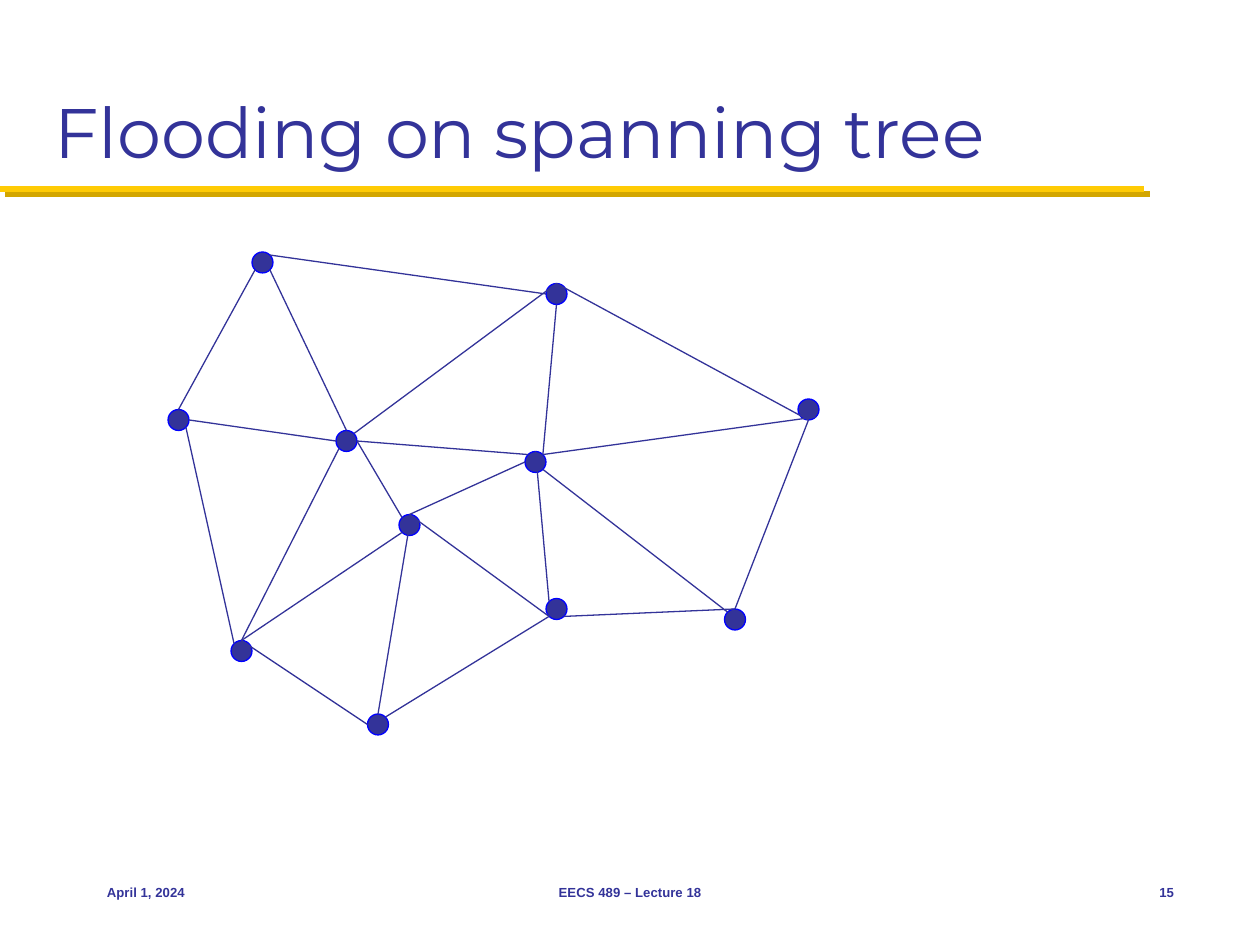
from dataclasses import dataclass
from math import cos, radians, sin

from lxml.etree import SubElement
from pptx import Presentation
from pptx.dml.color import RGBColor
from pptx.enum.shapes import MSO_CONNECTOR as Link, MSO_SHAPE as Form
from pptx.enum.text import MSO_ANCHOR as Anchor, MSO_AUTO_SIZE as Fit, PP_ALIGN as Align
from pptx.oxml.ns import qn
from pptx.util import Inches, Pt

NAVY = RGBColor(0x33, 0x33, 0x99)
BLUE = RGBColor(0x00, 0x00, 0xFF)
GOLD = RGBColor(0xFF, 0xCB, 0x05)

# The slide is a grid of 120 columns by 90 rows
COLS, ROWS = 120, 90
CELL = Inches(10) / COLS
SIZE = 2  # node diameter in cells

# Compass points on a node's rim, in degrees clockwise from east
RIM = {"E": 0, "SE": 45, "S": 90, "SW": 135, "W": 180, "NW": 225, "N": 270, "NE": 315}


@dataclass
class Node:
    col: int
    row: int

    def port(self, side: str) -> tuple[float, float]:
        """Point on the rim, or the centre for side C."""
        half = SIZE / 2
        x, y = self.col + half, self.row + half
        if side == "C":
            return x, y
        turn = radians(RIM[side])
        return x + half * cos(turn), y + half * sin(turn)


@dataclass
class Label:
    text: str
    col: int
    width: int
    align: Align


NODES = {
    "a": Node(24, 24), "b": Node(16, 39), "c": Node(52, 27), "d": Node(52, 57),
    "e": Node(35, 68), "f": Node(32, 41), "g": Node(76, 38), "h": Node(38, 49),
    "i": Node(22, 61), "j": Node(50, 43), "k": Node(69, 58),
}

# Each edge: node and side, then node and side
EDGES = [
    "a SE f N", "a SW b N", "b SE i NW", "f E h NW", "j SE k NW", "c S j NE",
    "c N g S", "g S k N", "i N e W", "h N d SW", "k N d SE", "j N d NW",
    "h C e N", "f E j NW", "b E f W", "i N h SW", "e NE d SW", "i N f SW",
    "h N j W", "j NE g SE", "a NE c W", "f NE c N",
]

LABELS = [
    Label("April 1, 2024", 9, 25, Align.LEFT),
    Label("EECS 489 – Lecture 18", 41, 38, Align.CENTER),
    Label("15", 105, 8, Align.RIGHT),
]


def cells(*counts: float) -> list[int]:
    return [round(n * CELL) for n in counts]


def style(item, form: dict) -> None:
    for name, value in form.items():
        setattr(item, name, value)


def put_text(shape, text: str, align: Align, anchor: Anchor, form: dict) -> None:
    frame = shape.text_frame
    style(frame, {"word_wrap": True, "auto_size": Fit.NONE, "vertical_anchor": anchor})
    par = frame.paragraphs[0]
    par.alignment = align
    run = par.add_run()
    run.text = text
    style(run.font, form)
    run.font.color.rgb = NAVY


def draw_line(shapes, start: tuple, end: tuple, color: RGBColor, width: float):
    """Draw a line and return its effect list, empty at first."""
    line = shapes.add_connector(Link.STRAIGHT, *cells(*start, *end))
    line.line.color.rgb = color
    line.line.width = Pt(width)
    return SubElement(line._element.spPr, qn("a:effectLst"))


def draw_node(shapes, node: Node) -> None:
    dot = shapes.add_shape(Form.OVAL, *cells(node.col, node.row, SIZE, SIZE))
    dot.shadow.inherit = False
    dot.fill.solid()
    dot.fill.fore_color.rgb = NAVY
    dot.line.color.rgb = BLUE
    dot.line.width = Pt(0.75)


def draw_edge(shapes, edge: str) -> None:
    tail, out, head, into = edge.split()
    draw_line(shapes, NODES[tail].port(out), NODES[head].port(into), NAVY, 0.75)


def draw_rule(shapes) -> None:
    effects = draw_line(shapes, (0, 18), (109, 18), GOLD, 3.5)
    shadow = SubElement(effects, qn("a:outerShdw"), dist=str(Pt(4.2)),
                        dir=str(45 * 60000), algn="ctr", rotWithShape="0")
    SubElement(shadow, qn("a:srgbClr"), val="D3A600")


def main() -> None:
    deck = Presentation()
    deck.slide_width, deck.slide_height = cells(COLS, ROWS)
    slide = deck.slides.add_slide(deck.slide_layouts[5])
    shapes = slide.shapes

    # Title and the rule below it
    title = shapes.title
    style(title, dict(zip(("left", "top", "width", "height"), cells(4, 2, 112, 15))))
    put_text(title, "Flooding on spanning tree", Align.LEFT, Anchor.BOTTOM,
             {"name": "Montserrat", "size": Pt(40)})
    draw_rule(shapes)

    # Network
    for node in NODES.values():
        draw_node(shapes, node)
    for edge in EDGES:
        draw_edge(shapes, edge)

    # Footer
    for label in LABELS:
        box = shapes.add_textbox(*cells(label.col, 82, label.width, 6))
        put_text(box, label.text, label.align, Anchor.MIDDLE,
                 {"name": "Arial", "size": Pt(7.5), "bold": True})

    deck.save("out.pptx")


if __name__ == "__main__":
    main()
